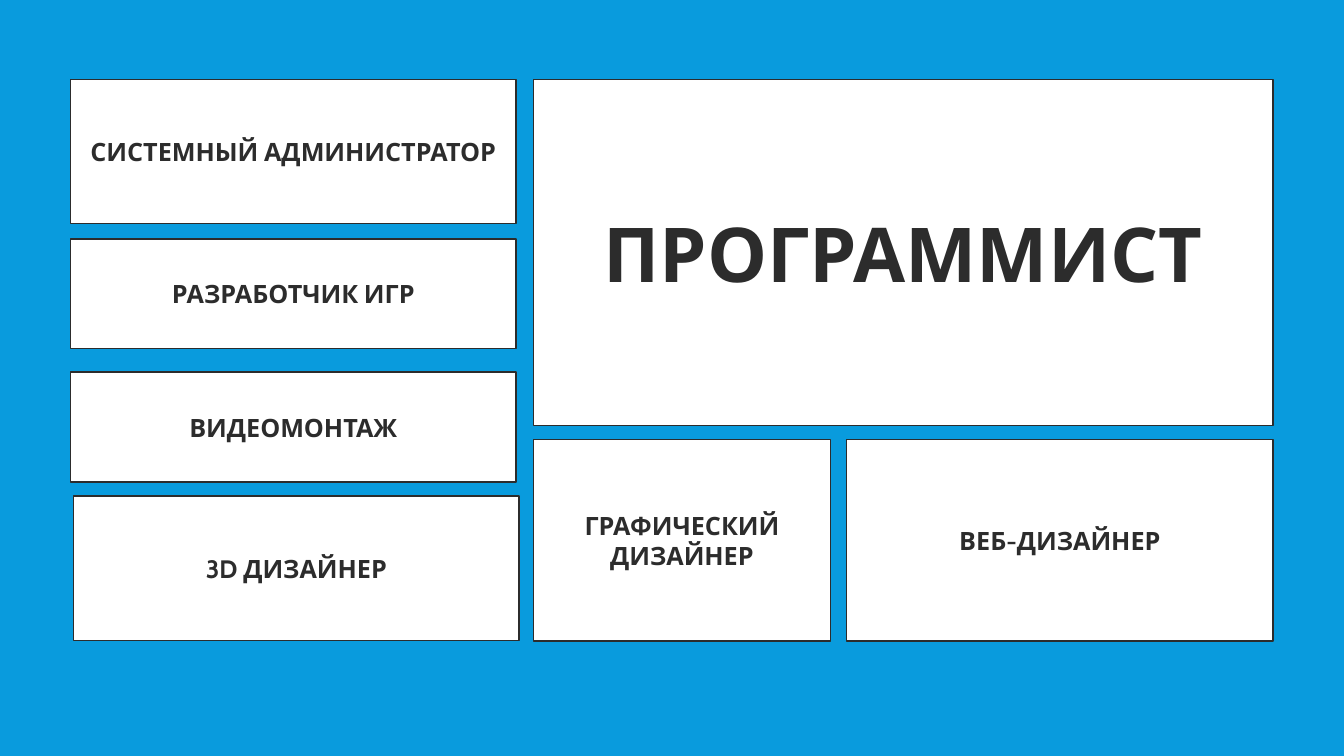
from pptx import Presentation
from pptx.dml.color import RGBColor
from pptx.enum.shapes import MSO_SHAPE as SHAPE
from pptx.enum.text import MSO_ANCHOR as ANCHOR, PP_ALIGN as ALIGN
from pptx.util import Pt

COLORS = {"background": "099BDD", "tile": "FFFFFF", "ink": "2C2C2C"}
FONT = {"name": "Cabin", "bold": True}

LEFT, TOP = 50.4, 56.9
SIDE_W, TALL, SHORT = 318.2, 103, 78.5
MAIN_X, MAIN_W, MAIN_H = 380.9, 528.5, 247
LOWER_Y, LOWER_H = 313.9, 144
GRAPHIC_W, WEB_W = 212.4, 304.6

SIDE_TILES = [
    ("СИСТЕМНЫЙ АДМИНИСТРАТОР", LEFT, TOP, TALL),
    ("РАЗРАБОТЧИК ИГР", LEFT, 170.6, SHORT),
    ("ВИДЕОМОНТАЖ", LEFT, 265.7, SHORT),
    ("3D ДИЗАЙНЕР", LEFT + 2.2, 354.4, TALL),
]


def color(name):
    return RGBColor.from_string(COLORS[name])


def paint(fill, name):
    fill.solid()
    fill.fore_color.rgb = color(name)


def add_tile(slide, text, x, y, w, h, size=18):
    sp = slide.shapes.add_shape(SHAPE.RECTANGLE, Pt(x), Pt(y), Pt(w), Pt(h))
    sp.shadow.inherit = False
    paint(sp.fill, "tile")
    paint(sp.line.fill, "ink")
    sp.line.width = Pt(1)
    tf = sp.text_frame
    tf.word_wrap = True
    tf.vertical_anchor = ANCHOR.MIDDLE
    p = tf.paragraphs[0]
    p.alignment = ALIGN.CENTER
    r = p.add_run()
    r.text = text
    for key, value in {**FONT, "size": Pt(size)}.items():
        setattr(r.font, key, value)
    r.font.color.rgb = color("ink")


def main():
    prs = Presentation()
    prs.slide_width, prs.slide_height = Pt(960), Pt(540)
    slide = prs.slides.add_slide(prs.slide_layouts[6])
    paint(slide.background.fill, "background")

    for text, x, y, h in SIDE_TILES:
        add_tile(slide, text, x, y, SIDE_W, h)
    add_tile(slide, "ПРОГРАММИСТ", MAIN_X, TOP, MAIN_W, MAIN_H, size=54)
    add_tile(slide, "ГРАФИЧЕСКИЙ ДИЗАЙНЕР", MAIN_X, LOWER_Y, GRAPHIC_W, LOWER_H)
    web_x = MAIN_X + MAIN_W - WEB_W
    add_tile(slide, "ВЕБ-ДИЗАЙНЕР", web_x, LOWER_Y, WEB_W, LOWER_H)

    prs.save("out.pptx")


if __name__ == "__main__":
    main()
